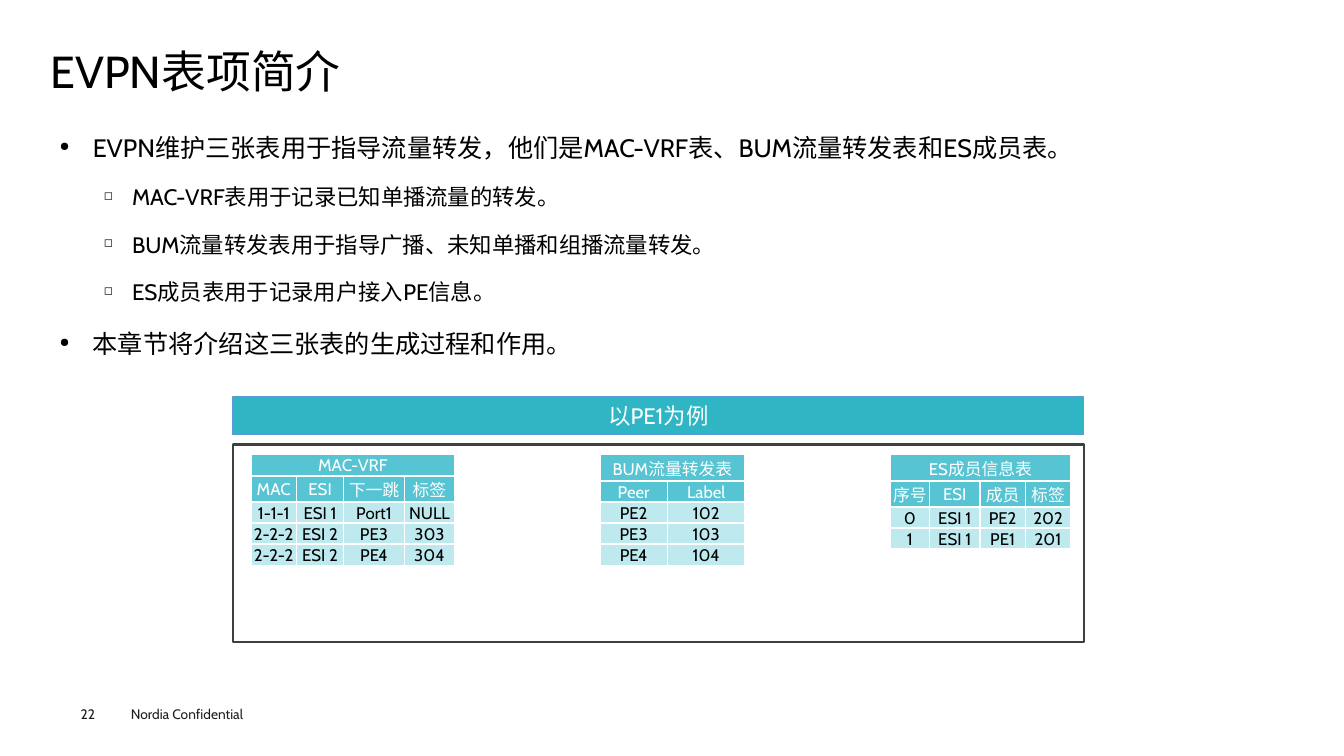
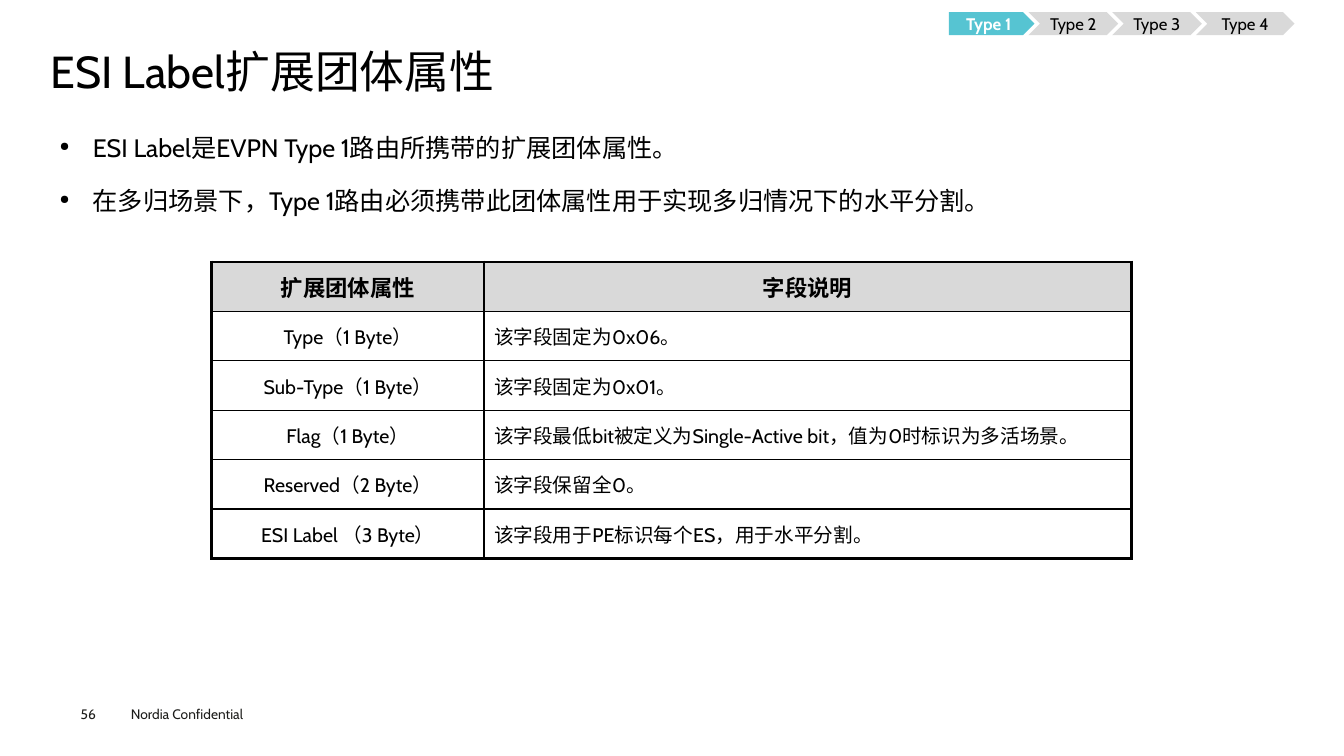
from dataclasses import dataclass
from typing import Any, Optional, Sequence

import pptx
import pptx.util
import pptx.dml.color
import pptx.enum.shapes
import pptx.enum.text
import pptx.oxml
import pptx.oxml.ns

Inches = pptx.util.Inches
Pt = pptx.util.Pt
ALIGN = pptx.enum.text.PP_ALIGN
ANCHOR = pptx.enum.text.MSO_ANCHOR
SHAPE = pptx.enum.shapes.MSO_SHAPE


@dataclass(frozen=True)
class Theme:
    font: str = "Cabin"
    black: str = "000000"
    white: str = "FFFFFF"
    footer: str = "1D1D1B"
    banner: str = "30B5C5"
    banner_edge: str = "5B9BD5"
    frame: str = "404040"
    accent: str = "56C4D2"
    accent_light: str = "BEE9EE"
    grey: str = "D9D9D9"
    title_size: float = 32
    lead_size: float = 18
    sub_size: float = 16
    field_size: float = 14
    small_size: float = 12
    footer_size: float = 9.8


THEME = Theme()


@dataclass(frozen=True)
class Box:
    left: float
    top: float
    width: float
    height: float

    def place(self) -> tuple:
        return tuple(Inches(n) for n in (self.left, self.top, self.width, self.height))


@dataclass(frozen=True)
class TextStyle:
    size: float
    color: str = THEME.black
    bold: bool = False
    align: Any = ALIGN.LEFT


@dataclass(frozen=True)
class BulletLevel:
    symbol: str
    size: float
    indent: float
    hanging: float
    space_before: float
    align: Any


LEAD = BulletLevel("●", THEME.lead_size, 0.33, 0.33, 7.9, ALIGN.JUSTIFY)
SUB = BulletLevel("◻", THEME.sub_size, 0.72, 0.28, 7.2, ALIGN.LEFT)


@dataclass(frozen=True)
class Bullet:
    text: str
    level: BulletLevel = LEAD


@dataclass(frozen=True)
class Edges:
    """Border widths in points."""
    left: float
    right: float
    top: float
    bottom: float


@dataclass(frozen=True)
class ForwardingTable:
    title: str
    left: float
    widths: Sequence[float]
    header: Sequence[str]
    entries: Sequence[Sequence[str]]


@dataclass(frozen=True)
class Step:
    label: str
    width: float
    active: bool = False


def rgb(color: str) -> pptx.dml.color.RGBColor:
    return pptx.dml.color.RGBColor.from_string(color)


def style_paragraph(paragraph: Any, style: TextStyle) -> None:
    paragraph.alignment = style.align
    font = paragraph.font
    font.name, font.size, font.bold = THEME.font, Pt(style.size), style.bold
    font.color.rgb = rgb(style.color)


def set_margins(target: Any, left: float, top: float, right: float, bottom: float) -> None:
    target.margin_left, target.margin_top = Inches(left), Inches(top)
    target.margin_right, target.margin_bottom = Inches(right), Inches(bottom)


def add_text(slide: Any, box: Box, text: str, style: TextStyle, inset: bool = True) -> None:
    frame = slide.shapes.add_textbox(*box.place()).text_frame
    frame.word_wrap = True
    if not inset:
        set_margins(frame, 0, 0, 0, 0)
    frame.text = text
    style_paragraph(frame.paragraphs[0], style)


def add_block(slide: Any, kind: Any, box: Box, fill: Optional[str] = None,
              line: Optional[str] = None, line_width: float = 1,
              text: str = "", style: Optional[TextStyle] = None) -> None:
    block = slide.shapes.add_shape(kind, *box.place())
    block.shadow.inherit = False
    if fill:
        block.fill.solid()
        block.fill.fore_color.rgb = rgb(fill)
    else:
        block.fill.background()
    if line:
        block.line.color.rgb = rgb(line)
        block.line.width = Pt(line_width)
    else:
        block.line.fill.background()
    if style:
        frame = block.text_frame
        set_margins(frame, 0, 0, 0, 0)
        frame.vertical_anchor = ANCHOR.MIDDLE
        frame.text = text
        style_paragraph(frame.paragraphs[0], style)


def add_content_slide(deck: Any, title: str, number: int) -> Any:
    """Add a slide with the shared title and footer."""
    slide = deck.slides.add_slide(deck.slide_layouts[5])
    heading = slide.shapes.title
    heading.left, heading.top, heading.width, heading.height = Box(0.5, 0.47, 12.35, 0.53).place()
    frame = heading.text_frame
    set_margins(frame, 0, 0, 0, 0)
    frame.auto_size = pptx.enum.text.MSO_AUTO_SIZE.NONE
    frame.vertical_anchor = ANCHOR.MIDDLE
    frame.text = title
    frame.paragraphs[0].line_spacing = 0.9
    style_paragraph(frame.paragraphs[0], TextStyle(THEME.title_size))
    footer = TextStyle(THEME.footer_size, THEME.footer)
    add_text(slide, Box(1.2, 6.95, 1.6, 0.27), "Nordia Confidential", footer)
    add_text(slide, Box(0.8, 7, 0.55, 0.16), str(number), footer, inset=False)
    return slide


def add_bullets(slide: Any, bullets: Sequence[Bullet]) -> None:
    frame = slide.shapes.add_textbox(*Box(0.5, 1.15, 12.35, 5.34).place()).text_frame
    frame.word_wrap = True
    set_margins(frame, 0.09, 0.04, 0.09, 0.04)
    for index, bullet in enumerate(bullets):
        paragraph = frame.add_paragraph() if index else frame.paragraphs[0]
        level = bullet.level
        paragraph.text = bullet.text
        paragraph.level = 1 if level is SUB else 0
        properties = paragraph._p.get_or_add_pPr()
        properties.set("marL", str(Inches(level.indent)))
        properties.set("indent", str(-Inches(level.hanging)))
        for tag, name, value in (("buSzPct", "val", "50000"), ("buChar", "char", level.symbol)):
            mark = pptx.oxml.parse_xml(f'<a:{tag} {pptx.oxml.ns.nsdecls("a")}/>')
            mark.set(name, value)
            properties.append(mark)
        paragraph.line_spacing = 1.4
        if index:
            paragraph.space_before = Pt(level.space_before)
        style_paragraph(paragraph, TextStyle(level.size, align=level.align))


def new_table(slide: Any, left: float, top: float, widths: Sequence[float],
              heights: Sequence[float]) -> Any:
    box = Box(left, top, sum(widths), sum(heights))
    table = slide.shapes.add_table(len(heights), len(widths), *box.place()).table
    table.first_row = table.horz_banding = False
    for column, width in zip(table.columns, widths):
        column.width = Inches(width)
    for row, height in zip(table.rows, heights):
        row.height = Inches(height)
    return table


def fill_cell(cell: Any, text: str, style: TextStyle, fill: Optional[str],
              edge_color: str, edges: Edges) -> None:
    properties = cell._tc.get_or_add_tcPr()
    for side, width in zip("LRTB", (edges.left, edges.right, edges.top, edges.bottom)):
        properties.append(pptx.oxml.parse_xml(
            f'<a:ln{side} {pptx.oxml.ns.nsdecls("a")} w="{Pt(width)}">'
            f'<a:solidFill><a:srgbClr val="{edge_color}"/></a:solidFill></a:ln{side}>'))
    if fill:
        cell.fill.solid()
        cell.fill.fore_color.rgb = rgb(fill)
    else:
        cell.fill.background()
    cell.vertical_anchor = ANCHOR.MIDDLE
    cell.text = text
    style_paragraph(cell.text_frame.paragraphs[0], style)


def add_forwarding_table(slide: Any, content: ForwardingTable) -> None:
    """Draw a small table whose rows with Chinese text are taller."""
    count = len(content.widths)
    title_row = [content.title] + [""] * (count - 1)
    rows = [title_row, content.header, *content.entries]
    heights = [0.21 if "".join(row).isascii() else 0.26 for row in rows]
    table = new_table(slide, content.left, 4.51, content.widths, heights)
    for r, row in enumerate(rows):
        is_header = r < 2
        style = TextStyle(THEME.small_size, THEME.white if is_header else THEME.black,
                          align=ALIGN.CENTER)
        fill = THEME.accent if is_header else THEME.accent_light
        edges = Edges(1, 1, 1.5 if r else 1, 1.5)
        for c, text in enumerate(row):
            cell = table.cell(r, c)
            set_margins(cell, 0.01, 0.01, 0.01, 0)
            fill_cell(cell, text, style, fill, THEME.white, edges)
    table.cell(0, 0).merge(table.cell(0, count - 1))


def add_field_table(slide: Any, rows: Sequence[Sequence[str]]) -> None:
    """Draw a two-column table with a heavy outline and a grey header."""
    table = new_table(slide, 2.1, 2.6, (2.7, 6.42), [0.49] * len(rows))
    thin, heavy = 1, 2.25
    for r, row in enumerate(rows):
        for c, text in enumerate(row):
            is_header = r == 0
            centered = is_header or c == 0
            style = TextStyle(THEME.sub_size if is_header else THEME.field_size, bold=is_header,
                              align=ALIGN.CENTER if centered else ALIGN.LEFT)
            edges = Edges(thin if c else heavy, heavy if c else thin,
                          heavy if is_header else thin,
                          heavy if r == len(rows) - 1 else thin)
            fill_cell(table.cell(r, c), text, style, THEME.grey if is_header else None,
                      THEME.black, edges)


def add_route_steps(slide: Any, steps: Sequence[Step]) -> None:
    left, overlap = 9.41, 0.06
    for step in steps:
        style = TextStyle(THEME.small_size, THEME.white if step.active else THEME.black,
                          step.active, ALIGN.CENTER)
        add_block(slide, SHAPE.PENTAGON if step.active else SHAPE.CHEVRON,
                  Box(left, 0.12, step.width, 0.23),
                  fill=THEME.accent if step.active else THEME.grey, text=step.label, style=style)
        left += step.width - overlap


def build_table_overview(deck: Any) -> None:
    slide = add_content_slide(deck, "EVPN表项简介", 22)
    add_bullets(slide, [
        Bullet("EVPN维护三张表用于指导流量转发，他们是MAC-VRF表、BUM流量转发表和ES成员表。"),
        Bullet("MAC-VRF表用于记录已知单播流量的转发。", SUB),
        Bullet("BUM流量转发表用于指导广播、未知单播和组播流量转发。", SUB),
        Bullet("ES成员表用于记录用户接入PE信息。", SUB),
        Bullet("本章节将介绍这三张表的生成过程和作用。"),
    ])
    add_block(slide, SHAPE.RECTANGLE, Box(2.31, 4.41, 8.44, 1.96),
              line=THEME.frame, line_width=1.5)
    add_block(slide, SHAPE.RECTANGLE, Box(2.31, 3.94, 8.44, 0.37), THEME.banner,
              THEME.banner_edge, text="以PE1为例",
              style=TextStyle(THEME.sub_size, THEME.white, align=ALIGN.CENTER))
    for content in (
        ForwardingTable("MAC-VRF", 2.49, (0.45, 0.47, 0.6, 0.5), ("MAC", "ESI", "下一跳", "标签"),
                        (("1-1-1", "ESI 1", "Port1", "NULL"), ("2-2-2", "ESI 2", "PE3", "303"),
                         ("2-2-2", "ESI 2", "PE4", "304"))),
        ForwardingTable("BUM流量转发表", 5.95, (0.67, 0.77), ("Peer", "Label"),
                        (("PE2", "102"), ("PE3", "103"), ("PE4", "104"))),
        ForwardingTable("ES成员信息表", 8.83, (0.39, 0.5, 0.45, 0.45), ("序号", "ESI", "成员", "标签"),
                        (("0", "ESI 1", "PE2", "202"), ("1", "ESI 1", "PE1", "201"))),
    ):
        add_forwarding_table(slide, content)


def build_label_attribute(deck: Any) -> None:
    slide = add_content_slide(deck, "ESI Label扩展团体属性", 56)
    add_bullets(slide, [
        Bullet("ESI Label是EVPN Type 1路由所携带的扩展团体属性。"),
        Bullet("在多归场景下，Type 1路由必须携带此团体属性用于实现多归情况下的水平分割。"),
    ])
    add_field_table(slide, (
        ("扩展团体属性", "字段说明"),
        ("Type（1 Byte）", "该字段固定为0x06。"),
        ("Sub-Type（1 Byte）", "该字段固定为0x01。"),
        ("Flag（1 Byte）", "该字段最低bit被定义为Single-Active bit，值为0时标识为多活场景。"),
        ("Reserved（2 Byte）", "该字段保留全0。"),
        ("ESI Label （3 Byte）", "该字段用于PE标识每个ES，用于水平分割。"),
    ))
    add_route_steps(slide, (Step("Type 1", 0.85, True), Step("Type 2", 0.89),
                            Step("Type 3", 0.89), Step("Type 4", 0.98)))


def main() -> None:
    deck = pptx.Presentation()
    deck.slide_width, deck.slide_height = Inches(13.33), Inches(7.5)
    build_table_overview(deck)
    build_label_attribute(deck)
    deck.save("out.pptx")


if __name__ == "__main__":
    main()
